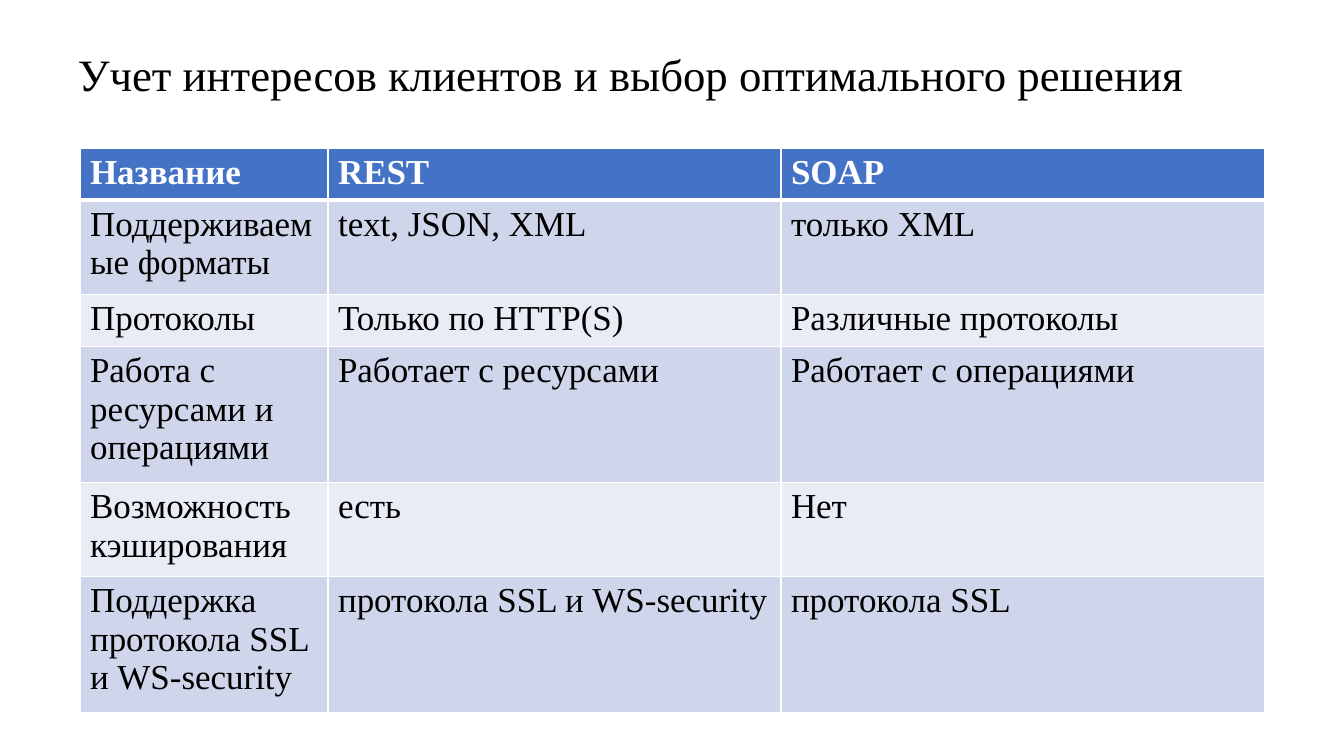
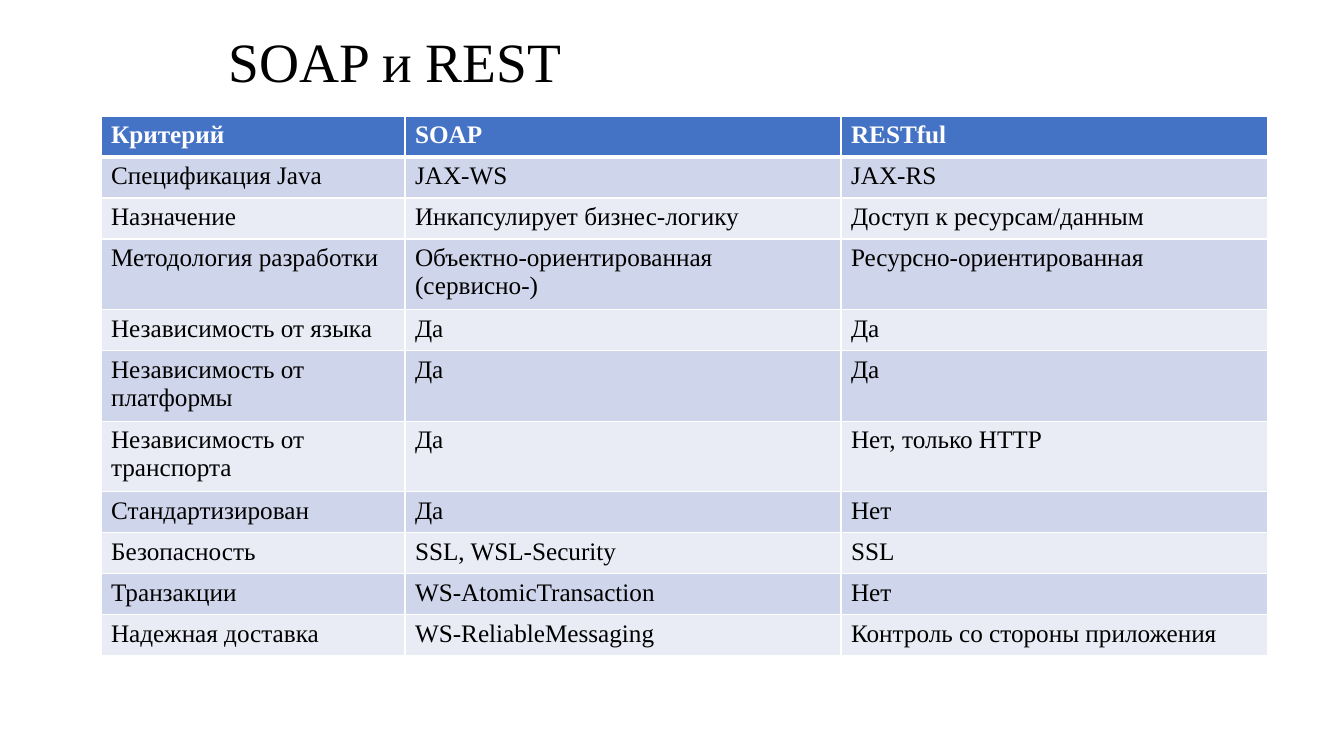
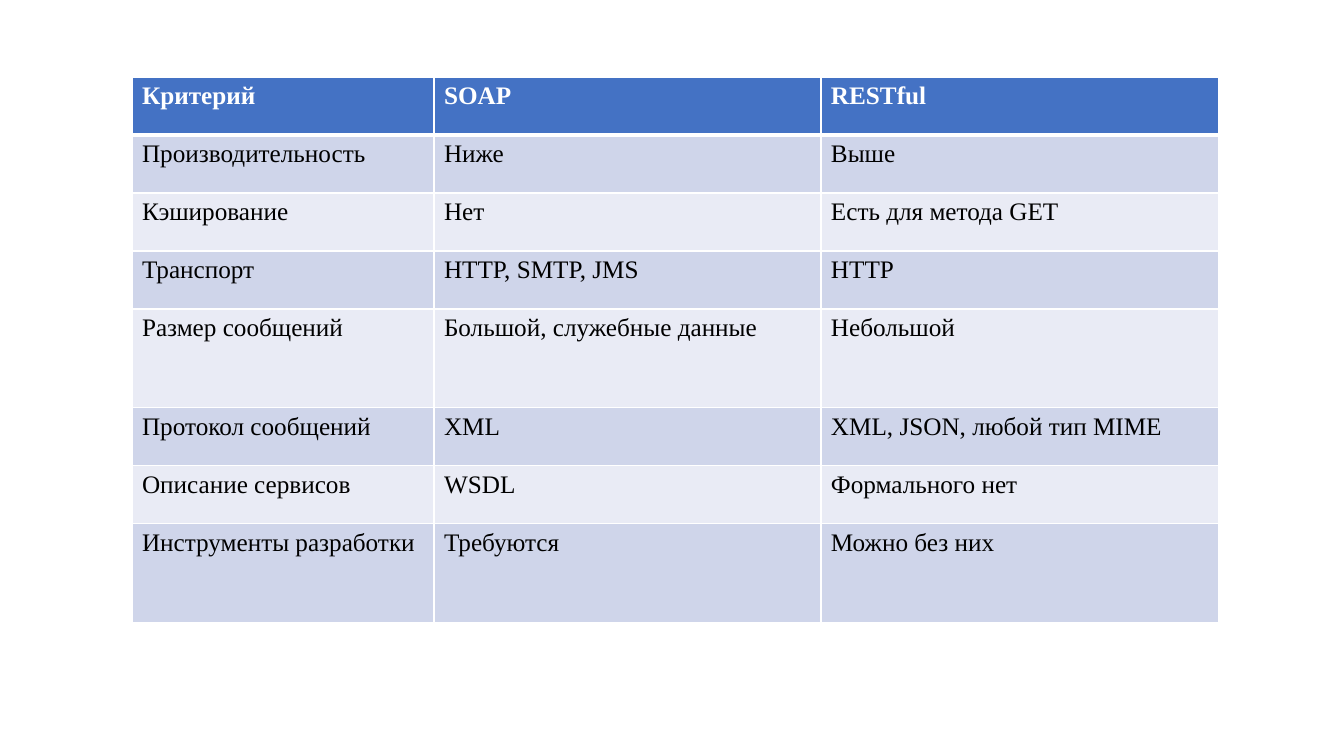
import dataclasses

import lxml.etree
import pptx
import pptx.dml.color
import pptx.enum.text
import pptx.oxml.ns
import pptx.util

SCALE = 914400 / 100.8


@dataclasses.dataclass(frozen=True)
class Theme:
    """Colours, font and type sizes that the slides share."""
    face: str = "Times New Roman"
    ink: str = "000000"
    paper: str = "FFFFFF"
    head: str = "4472C4"
    bands: tuple = ("CFD5EA", "E9EBF5")
    title: float = 32
    large: float = 39.6
    cell: float = 18
    wide: float = 25
    thin: float = 1
    thick: float = 3


def px(count):
    """Turn pixels into EMU."""
    return pptx.util.Emu(round(count * SCALE))


def rgb(code):
    """Make a colour from its hex code."""
    return pptx.dml.color.RGBColor.from_string(code)


def apply(target, values):
    """Set each attribute named in a dict."""
    for name, value in values.items():
        setattr(target, name, value)


class Deck:
    """Holds the style and the current slide."""

    def __init__(self, theme):
        """Start an empty wide deck."""
        self.theme = theme
        self.show = pptx.Presentation()
        apply(self.show, {"slide_width": px(1344), "slide_height": px(756)})
        self.slide = None

    def page(self):
        """Add a blank slide and make it current."""
        self.slide = self.show.slides.add_slide(self.show.slide_layouts[6])

    def label(self, frame, text, size, color, bold=False):
        """Put one styled run into a text frame."""
        run = frame.paragraphs[0].add_run()
        run.text = text
        apply(run.font, {"name": self.theme.face, "size": pptx.util.Pt(size),
                         "bold": bold})
        run.font.color.rgb = rgb(color)

    def title(self, text, box, size):
        """Add a slide title centred on its height."""
        frame = self.slide.shapes.add_textbox(*map(px, box)).text_frame
        apply(frame, {"word_wrap": True,
                      "vertical_anchor": pptx.enum.text.MSO_ANCHOR.MIDDLE})
        frame.paragraphs[0].line_spacing = 0.9
        self.label(frame, text, size, self.theme.ink)

    def edge(self, cell, sides):
        """Draw cell borders from a dict of side and width."""
        props = cell._tc.get_or_add_tcPr()
        qn = pptx.oxml.ns.qn
        for spot, (side, width) in enumerate(sides.items()):
            line = lxml.etree.Element(qn("a:ln" + side),
                                      w=str(int(pptx.util.Pt(width))))
            fill = lxml.etree.SubElement(line, qn("a:solidFill"))
            lxml.etree.SubElement(fill, qn("a:srgbClr"), val=self.theme.paper)
            props.insert(spot, line)

    def table(self, spot, cols, rows, data, size):
        """Add a banded table with a header row."""
        look = self.theme
        box = (*spot, sum(cols), sum(rows))
        grid = self.slide.shapes.add_table(len(rows), len(cols),
                                           *map(px, box)).table
        for col, width in zip(grid.columns, cols):
            col.width = px(width)
        for index, (row, height, words) in enumerate(
                zip(grid.rows, rows, data)):
            row.height = px(height)
            head = index == 0
            fill = look.head if head else look.bands[(index - 1) % 2]
            color = look.paper if head else look.ink
            sides = {"L": look.thin, "R": look.thin,
                     "T": look.thick if index == 1 else look.thin,
                     "B": look.thick if head else look.thin}
            for cell, text in zip(row.cells, words):
                cell.fill.solid()
                cell.fill.fore_color.rgb = rgb(fill)
                self.edge(cell, sides)
                self.label(cell.text_frame, text, size, color, head)


HEAD = ("Критерий", "SOAP", "RESTful")

CHOICE = (
    ("Название", "REST", "SOAP"),
    ("Поддерживаемые форматы", "text, JSON, XML", "только XML"),
    ("Протоколы", "Только по HTTP(S)", "Различные протоколы"),
    ("Работа с ресурсами и операциями", "Работает с ресурсами",
     "Работает с операциями"),
    ("Возможность кэширования", "есть", "Нет"),
    ("Поддержка протокола SSL и WS-security",
     "протокола SSL и WS-security", "протокола SSL"),
)

DESIGN = (
    HEAD,
    ("Спецификация Java", "JAX-WS", "JAX-RS"),
    ("Назначение", "Инкапсулирует бизнес-логику", "Доступ к ресурсам/данным"),
    ("Методология разработки", "Объектно-ориентированная (сервисно-)",
     "Ресурсно-ориентированная"),
    ("Независимость от языка", "Да", "Да"),
    ("Независимость от платформы", "Да", "Да"),
    ("Независимость от транспорта", "Да", "Нет, только HTTP"),
    ("Стандартизирован", "Да", "Нет"),
    ("Безопасность", "SSL, WSL-Security", "SSL"),
    ("Транзакции", "WS-AtomicTransaction", "Нет"),
    ("Надежная доставка", "WS-ReliableMessaging",
     "Контроль со стороны приложения"),
)

TRAFFIC = (
    HEAD,
    ("Производительность", "Ниже", "Выше"),
    ("Кэширование", "Нет", "Есть для метода GET"),
    ("Транспорт", "HTTP, SMTP, JMS", "HTTP"),
    ("Размер сообщений", "Большой, служебные данные", "Небольшой"),
    ("Протокол сообщений", "XML", "XML, JSON, любой тип MIME"),
    ("Описание сервисов", "WSDL", "Формального нет"),
    ("Инструменты разработки", "Требуются", "Можно без них"),
)


def main():
    """Build the three slides and save them."""
    theme = Theme()
    deck = Deck(theme)

    deck.page()
    deck.title("Учет интересов клиентов и выбор оптимального решения",
               (68, 30, 1210, 94), theme.title)
    deck.table((80, 148), (248, 453, 484), (48, 88, 48, 126, 88, 126),
               CHOICE, theme.wide)

    deck.page()
    deck.title("SOAP и REST", (219, 30, 907, 69), theme.large)
    deck.table((101, 116), (304, 436, 427),
               [66 if index in (3, 5, 6) else 41
                for index in range(len(DESIGN))], DESIGN, theme.cell)

    deck.page()
    deck.table((132, 77), (302, 387, 398),
               [99 if index in (4, 7) else 58
                for index in range(len(TRAFFIC))], TRAFFIC, theme.cell)

    deck.show.save("out.pptx")


main()
